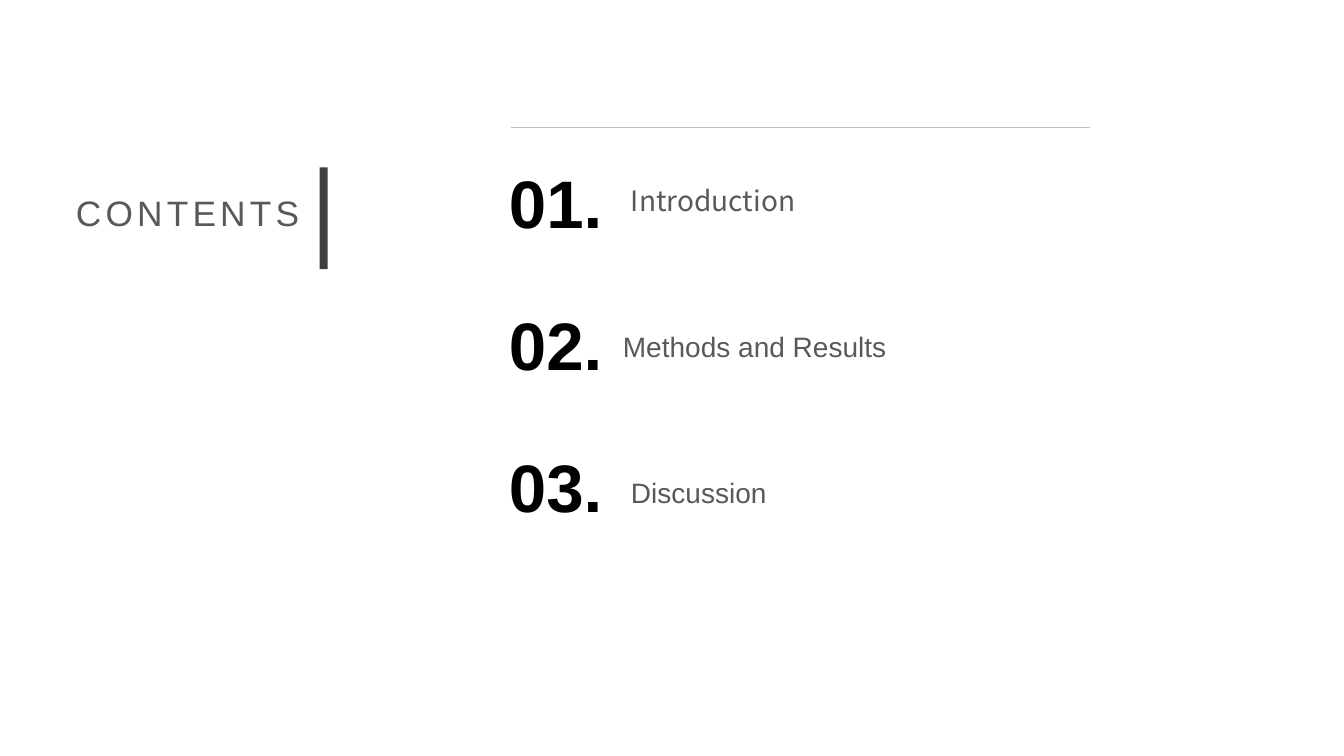
from lxml.etree import SubElement
from pptx import Presentation
from pptx.dml.color import RGBColor
from pptx.enum.shapes import MSO_CONNECTOR, MSO_SHAPE
from pptx.enum.text import MSO_ANCHOR, MSO_AUTO_SIZE, PP_ALIGN
from pptx.oxml.ns import qn
from pptx.util import Inches, Pt

BLACK = RGBColor(0x00, 0x00, 0x00)
DARK = RGBColor(0x40, 0x40, 0x40)
GREY = RGBColor(0x59, 0x59, 0x59)
PALE = RGBColor(0xBF, 0xBF, 0xBF)
CELL = Inches(0.1)


def write(shape, text, size, font="Arial", color=GREY, bold=False, align=PP_ALIGN.LEFT,
          anchor=MSO_ANCHOR.TOP, top=0.1, lead=1.0, track=0, wrap=True):
    frame = shape.text_frame
    frame.word_wrap = wrap
    frame.auto_size = MSO_AUTO_SIZE.NONE
    frame.vertical_anchor = anchor
    frame.margin_left = frame.margin_right = Inches(0.1)
    frame.margin_top, frame.margin_bottom = Inches(top), Inches(0.05)
    line = frame.paragraphs[0]
    line.alignment, line.line_spacing = align, lead
    run = line.add_run()
    run.text = text
    run.font.name, run.font.size, run.font.bold = font, Pt(size), bold
    run.font.color.rgb = color
    if track:
        run.font._element.set("spc", str(track * 100))


class Page:
    """Place styled elements on one slide, in grid cells of a tenth of an inch."""

    def __init__(self, deck):
        self.slide = deck.slides.add_slide(deck.slide_layouts[5])
        self.shapes = self.slide.shapes

    def grid(self, *cells):
        return [round(cell * CELL) for cell in cells]

    def title(self, box, text, **style):
        shape = self.shapes.title
        shape.left, shape.top, shape.width, shape.height = self.grid(*box)
        write(shape, text, **style)

    def text(self, box, text, **style):
        write(self.shapes.add_textbox(*self.grid(*box)), text, **style)

    def bar(self, box, color):
        shape = self.shapes.add_shape(MSO_SHAPE.RECTANGLE, *self.grid(*box))
        shape.shadow.inherit = False
        shape.fill.solid()
        shape.fill.fore_color.rgb = color
        shape.line.fill.background()

    def rule(self, ends, color, width):
        line = self.shapes.add_connector(MSO_CONNECTOR.STRAIGHT, *self.grid(*ends))
        line.line.color.rgb, line.line.width = color, Pt(width)
        SubElement(line._element.spPr, qn("a:effectLst"))


def main():
    deck = Presentation()
    deck.slide_width, deck.slide_height = Inches(13.33), Inches(7.5)
    page = Page(deck)
    page.title((5.9, 18, 24.8, 6.1), "CONTENTS", size=25.2, align=PP_ALIGN.RIGHT, track=3)
    page.bar((31.7, 16.6, 0.8, 10.1), DARK)
    topics = [
        ("Introduction", 61.6, "Noto Sans CJK SC"),
        ("Methods and Results", 60.8, "Arial"),
        ("Discussion", 61.6, "Arial"),
    ]
    for row, (topic, left, font) in enumerate(topics):
        page.text((49.5, 15 + 14.1 * row, 11.3, 9.1), f"{row + 1:02}.",
                  size=48, color=BLACK, bold=True, wrap=False)
        page.text((left, 15 + 14.5 * row, 46.4, 9.1), topic, size=20, font=font,
                  anchor=MSO_ANCHOR.MIDDLE, top=0.05, lead=1.2)
    page.rule((50.7, 12.6, 108.1, 12.6), PALE, 0.5)
    deck.save("out.pptx")


if __name__ == "__main__":
    main()
